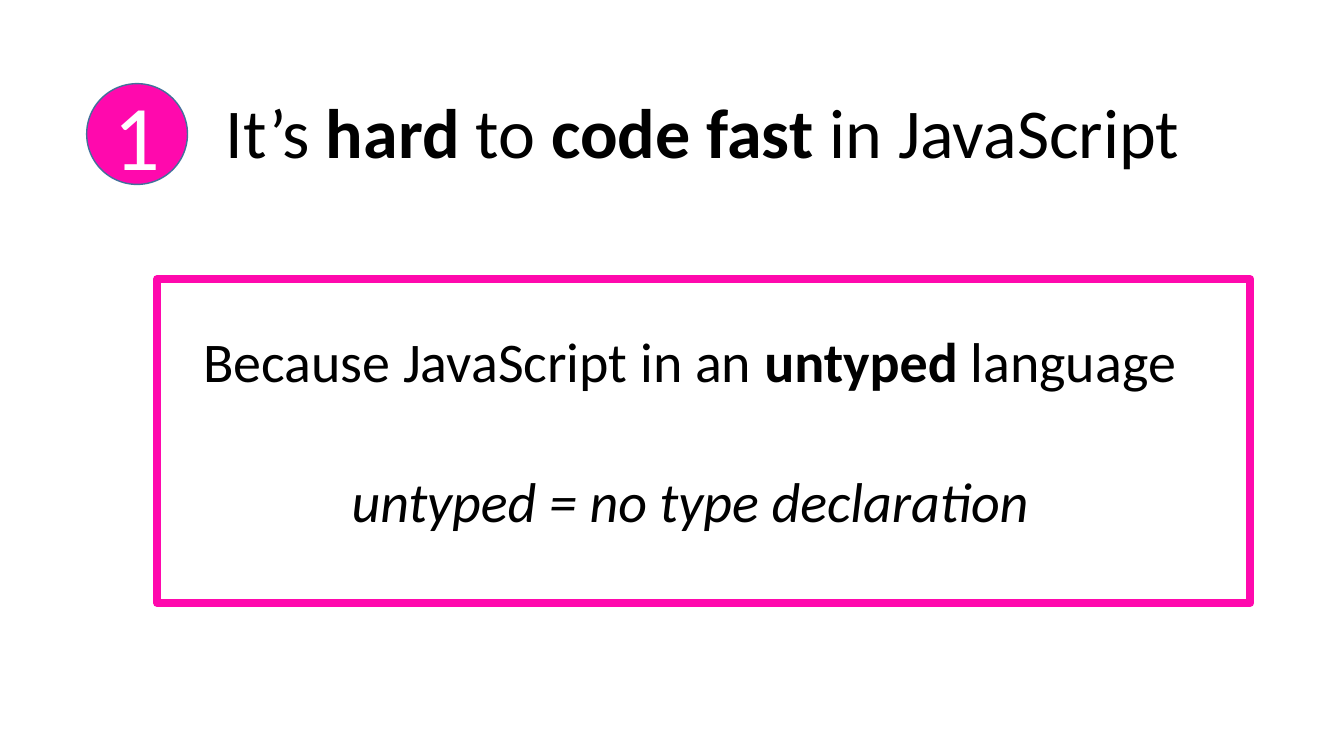
from dataclasses import dataclass

from pptx import Presentation
from pptx.dml.color import RGBColor as Rgb
from pptx.enum.shapes import MSO_SHAPE as Kind
from pptx.enum.text import MSO_ANCHOR as Anchor, MSO_AUTO_SIZE as Fit, PP_ALIGN as Align
from pptx.shapes.autoshape import Shape
from pptx.slide import Slide
from pptx.util import Inches, Pt

HUES = {"pink": "FF09AD", "white": "FFFFFF", "black": "000000", "blue": "42719B"}
FRAME = {"word_wrap": True, "auto_size": Fit.NONE,
         "margin_left": Inches(0.1), "margin_right": Inches(0.1),
         "margin_top": Inches(0.05), "margin_bottom": Inches(0.05)}
PARA = {"alignment": Align.CENTER, "line_spacing": 1.0,
        "space_before": Pt(0), "space_after": Pt(0)}


@dataclass(frozen=True)
class Run:
    """A stretch of text in one style."""
    text: str
    bold: bool = False
    italic: bool = False


@dataclass(frozen=True)
class Label:
    """A centred line of text."""
    runs: tuple[Run, ...]
    size: int
    hue: str = "black"
    anchor: Anchor = Anchor.TOP


@dataclass(frozen=True)
class Panel:
    """A filled and outlined shape."""
    kind: Kind
    box: tuple[float, ...]
    fill: str
    line: str
    width: float


TITLE = Label((Run("It’s "), Run("hard", bold=True), Run(" to "),
               Run("code fast ", bold=True), Run("in JavaScript")), 50)
NOTES = (
    ((1.86, 3.19, 9.96, 0.77),
     Label((Run("Because JavaScript in an "), Run("untyped ", bold=True),
            Run("language")), 40)),
    ((3.32, 4.58, 7.05, 0.77),
     Label((Run("untyped = no type declaration", italic=True),), 40)),
)
BORDER = Panel(Kind.RECTANGLE, (1.56, 2.77, 10.84, 3.21), "white", "pink", 6)
BADGE = Panel(Kind.OVAL, (0.86, 0.83, 1, 1), "pink", "blue", 1)
NUMBER = Label((Run("1"),), 66, "white", Anchor.MIDDLE)


def color(name: str) -> Rgb:
    """Look up a named colour."""
    return Rgb.from_string(HUES[name])


def apply(item: object, style: dict[str, object]) -> None:
    """Set each format value on an item."""
    for key, value in style.items():
        setattr(item, key, value)


def place(shape: Shape, box: tuple[float, ...]) -> None:
    """Move and size a shape in inches."""
    apply(shape, dict(zip(("left", "top", "width", "height"), map(Inches, box))))


def write(shape: Shape, label: Label) -> None:
    """Fill a shape with a styled line."""
    frame = shape.text_frame
    apply(frame, FRAME | {"vertical_anchor": label.anchor})
    para = frame.paragraphs[0]
    apply(para, PARA)
    for part in label.runs:
        run = para.add_run()
        run.text = part.text
        apply(run.font, {"name": "Calibri", "size": Pt(label.size),
                         "bold": part.bold, "italic": part.italic})
        run.font.color.rgb = color(label.hue)


def draw(slide: Slide, panel: Panel) -> Shape:
    """Add a panel to the slide."""
    shape = slide.shapes.add_shape(panel.kind, *map(Inches, panel.box))
    shape.shadow.inherit = False
    shape.fill.solid()
    shape.fill.fore_color.rgb = color(panel.fill)
    shape.line.color.rgb = color(panel.line)
    shape.line.width = Pt(panel.width)
    return shape


def main() -> None:
    """Build and save the slide."""
    deck = Presentation()
    apply(deck, {"slide_width": Inches(13.33), "slide_height": Inches(7.5)})
    slide = deck.slides.add_slide(deck.slide_layouts[5])
    place(slide.shapes.title, (2.1, 0.83, 9.74, 0.94))
    write(slide.shapes.title, TITLE)
    draw(slide, BORDER)
    for box, label in NOTES:
        write(slide.shapes.add_textbox(*map(Inches, box)), label)
    write(draw(slide, BADGE), NUMBER)
    deck.save("out.pptx")


if __name__ == "__main__":
    main()
